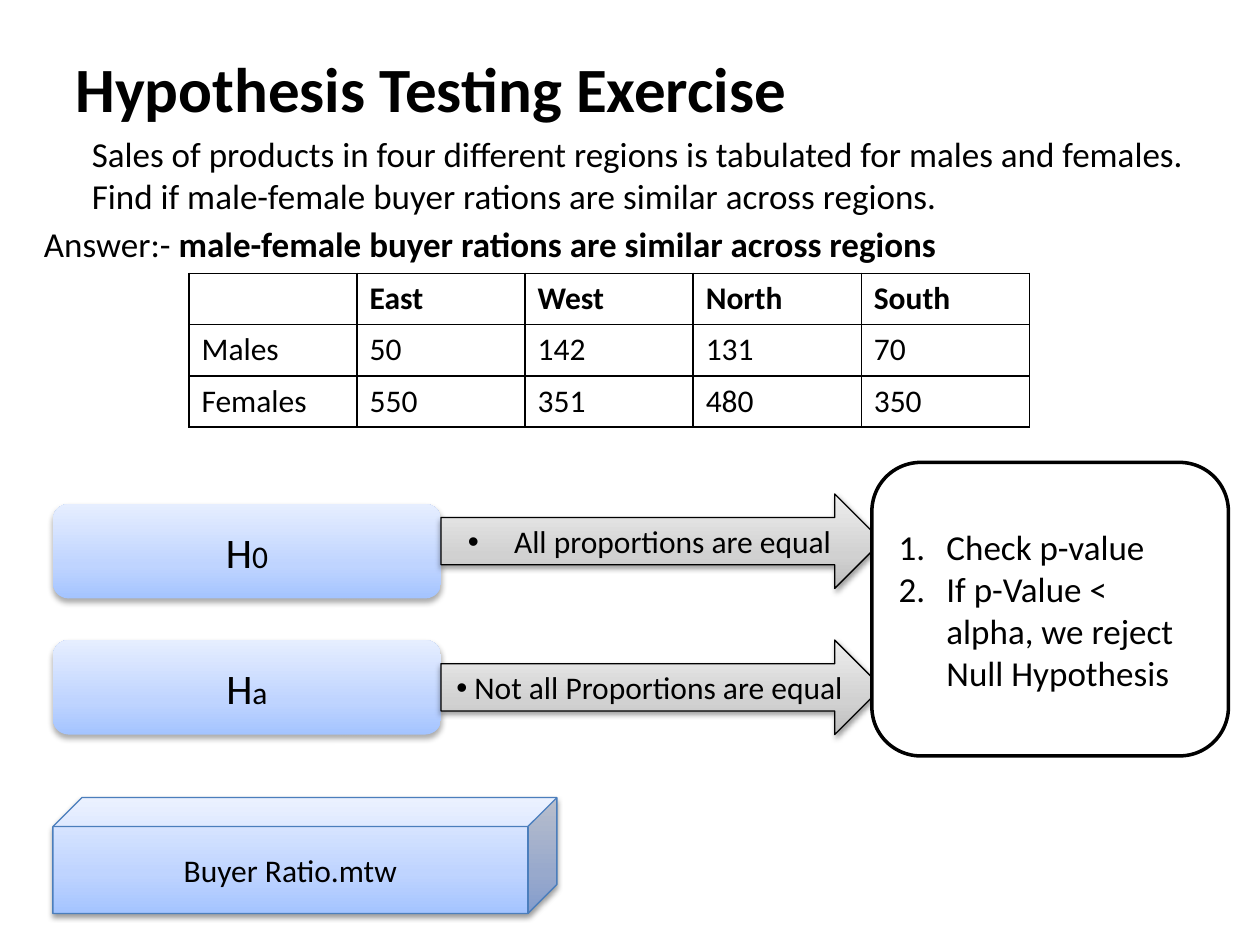
from copy import deepcopy
from dataclasses import dataclass

from lxml.etree import SubElement as Sub
from pptx import Presentation
from pptx.dml.color import RGBColor as RGB
from pptx.enum.shapes import MSO_SHAPE as Shape
from pptx.enum.text import MSO_ANCHOR as Anchor, PP_ALIGN as Align
from pptx.oxml.ns import qn
from pptx.util import Inches, Pt


@dataclass(frozen=True)
class Theme:
    font: str = "Calibri"
    ink: str = "000000"
    paper: str = "FFFFFF"
    edge: str = "4B7EBC"
    blue: tuple = ("A4C4FF", "BFD4FF", "E6EEFF")
    grey: tuple = ("BDBDBD", "D1D1D1", "EEEEEE")
    stops: tuple = (0, 0.35, 1)
    soft: tuple = (32, 3.5, 2.2)  # opacity %, blur pt, distance pt
    firm: tuple = (38, 3.1, 1.6)
    title: int = 36
    term: int = 24
    body: int = 20
    small: int = 18


T = Theme()


def write(frame, *paras, size=T.body, bold=False, align=Align.LEFT,
          anchor=Anchor.MIDDLE, before=0, left=0, hang=0, mark=None):
    """Fill a frame; a paragraph is a string or a list of (text, format) runs."""
    frame.word_wrap = True
    frame.vertical_anchor = anchor
    for i, runs in enumerate(paras):
        para = frame.paragraphs[0] if i == 0 else frame.add_paragraph()
        para.alignment = align
        para.space_before = Pt(before)
        props = para._p.get_or_add_pPr()
        props.set("marL", str(Inches(left)))
        props.set("indent", str(Inches(-hang)))
        if mark == "1.":
            Sub(props, qn("a:buFont"), typeface="+mj-lt")
            Sub(props, qn("a:buAutoNum"), type="arabicPeriod")
        elif mark:
            Sub(props, qn("a:buFont"), typeface="Arial")
            Sub(props, qn("a:buChar"), char=mark)
        for text, form in [(runs, {})] if isinstance(runs, str) else runs:
            run = para.add_run()
            run.text = text
            font = run.font
            font.name = T.font
            font.size = Pt(form.get("size", size))
            font.bold = form.get("bold", bold)
            font.color.rgb = RGB.from_string(T.ink)


def add_text(slide, box, *paras, **form):
    shape = slide.shapes.add_textbox(*map(Inches, box))
    write(shape.text_frame, *paras, **form)


def blend(fill, tones):
    """Run a gradient of three tones from bottom to top."""
    fill.gradient()
    fill.gradient_angle = 90
    first = fill.gradient_stops[0]._gs
    first.addnext(deepcopy(first))
    for stop, place, tone in zip(fill.gradient_stops, T.stops, tones):
        stop.position = place
        stop.color.rgb = RGB.from_string(tone)


def cast(shape, alpha, blur, dist):
    """Drop a shadow straight down."""
    effects = shape._element.spPr.find(qn("a:effectLst"))
    shade = Sub(effects, qn("a:outerShdw"), blurRad=str(Pt(blur)),
                dist=str(Pt(dist)), dir="5400000", rotWithShape="0")
    tone = Sub(shade, qn("a:srgbClr"), val=T.ink)
    Sub(tone, qn("a:alpha"), val=str(alpha * 1000))


def add_block(slide, kind, box, *paras, tones=None, line=None, width=0.75,
              shade=None, **form):
    shape = slide.shapes.add_shape(kind, *map(Inches, box))
    shape.shadow.inherit = False
    if tones:
        blend(shape.fill, tones)
    else:
        shape.fill.solid()
        shape.fill.fore_color.rgb = RGB.from_string(T.paper)
    if line:
        shape.line.color.rgb = RGB.from_string(line)
        shape.line.width = Pt(width)
    else:
        shape.line.fill.background()
    if shade:
        cast(shape, *shade)
    write(shape.text_frame, *paras, **form)


def rule(cell):
    """Draw a thin line on all four sides of a cell."""
    props = cell._tc.get_or_add_tcPr()
    for i, side in enumerate(("lnL", "lnR", "lnT", "lnB")):
        line = props.makeelement(qn("a:" + side), {"w": str(Pt(1))})
        props.insert(i, line)
        Sub(Sub(line, qn("a:solidFill")), qn("a:srgbClr"), val=T.ink)


def add_grid(slide, box, rows):
    size = len(rows), len(rows[0])
    table = slide.shapes.add_table(*size, *map(Inches, box)).table
    for r, row in enumerate(rows):
        for c, text in enumerate(row):
            cell = table.cell(r, c)
            cell.fill.background()
            rule(cell)
            write(cell.text_frame, text, size=T.small, bold=r == 0,
                  anchor=None)


def main():
    deck = Presentation()
    deck.slide_width, deck.slide_height = Inches(10), Inches(7.5)
    slide = deck.slides.add_slide(deck.slide_layouts[6])

    add_text(slide, (0.5, 0.3, 9, 0.78), "Hypothesis Testing Exercise",
             size=T.title, bold=True)
    top = dict(anchor=Anchor.TOP, before=4)
    add_text(slide, (0.25, 1, 9.58, 0.8),
             "Sales of products in four different regions is tabulated for "
             "males and females. Find if male-female buyer rations are "
             "similar across regions.", left=0.38, **top)
    add_text(slide, (0.25, 1.72, 9.58, 0.45), [
        ("Answer:-", {}),
        ("\u00a0male-female buyer rations are similar across regions".replace(
            "\u00a0", " "), {"bold": True})], **top)

    add_grid(slide, (1.5, 2.17, 6.67, 1.22), [
        ("", "East", "West", "North", "South"),
        ("Males", "50", "142", "131", "70"),
        ("Females", "550", "351", "480", "350")])

    mid = dict(align=Align.CENTER)
    for y, sub in ((4, "0"), (5.08, "a")):
        add_block(slide, Shape.ROUNDED_RECTANGLE, (0.42, y, 3.08, 0.75),
                  [("H", {}), (sub, {"size": T.small})],
                  tones=T.blue, shade=T.soft, size=T.term, **mid)
    for y, text, dent in ((3.92, " All proportions are equal", 0.31),
                          (5.08, " Not all Proportions are equal", 0)):
        add_block(slide, Shape.RIGHT_ARROW, (3.5, y, 3.5, 0.75), text,
                  tones=T.grey, line=T.ink, shade=T.firm, size=T.small,
                  left=dent, hang=dent, mark="•", **mid)
    add_block(slide, Shape.ROUNDED_RECTANGLE, (6.92, 3.67, 2.83, 2.33),
              "Check p-value", "If p-Value < alpha, we reject Null Hypothesis",
              line=T.ink, width=2, left=0.38, hang=0.38, mark="1.")
    add_block(slide, Shape.CUBE, (0.42, 6.33, 4, 0.92), "Buyer Ratio.mtw",
              tones=T.blue, line=T.edge, shade=T.firm, size=T.small, **mid)

    deck.save("out.pptx")


if __name__ == "__main__":
    main()
